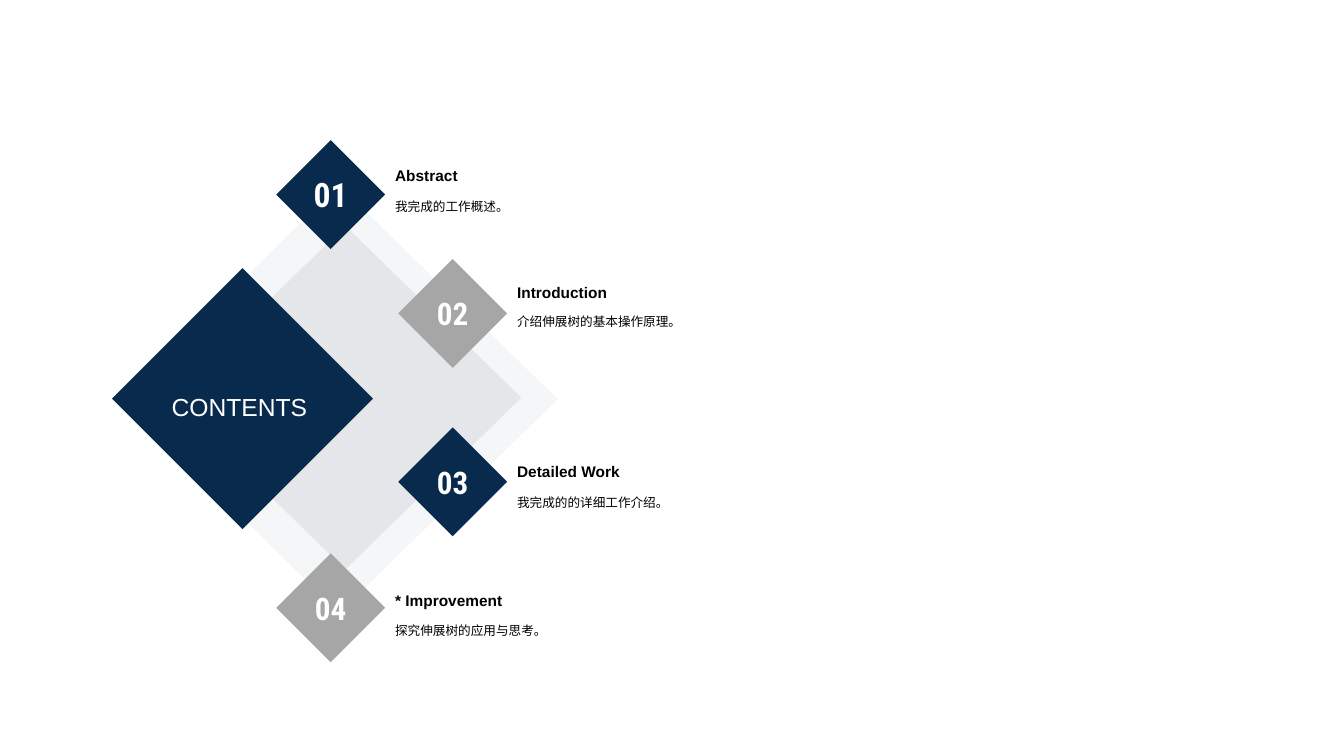
from lxml.etree import SubElement
from pptx import Presentation
from pptx.dml.color import RGBColor
from pptx.enum.shapes import MSO_SHAPE as Shape
from pptx.enum.text import MSO_ANCHOR as Anchor, MSO_AUTO_SIZE as AutoSize, PP_ALIGN as Align
from pptx.oxml.ns import qn
from pptx.util import Pt

PX = 9144  # 100 px to the inch
COLORS = {"navy": "082A4D", "gray": "A6A6A6", "pale": "E4E6EA",
          "white": "FFFFFF", "black": "000000"}


def add_diamond(left, top, width, height, color):
    shape = slide.shapes.add_shape(
        Shape.DIAMOND, left * PX, top * PX, width * PX, height * PX)
    shape.shadow.inherit = False
    shape.fill.solid()
    shape.fill.fore_color.rgb = RGBColor.from_string(COLORS[color])
    shape.line.fill.background()
    return shape


def write_text(shape, text, color, frame_format, paragraph_format, font_format):
    frame = shape.text_frame
    frame.text = text
    paragraph = frame.paragraphs[0]
    font = paragraph.runs[0].font
    for target, values in ((frame, frame_format), (paragraph, paragraph_format),
                           (font, font_format)):
        for name, value in values.items():
            setattr(target, name, value)
    font.color.rgb = RGBColor.from_string(COLORS[color])


presentation = Presentation()
presentation.slide_width = 1333 * PX
presentation.slide_height = 750 * PX
slide = presentation.slides.add_slide(presentation.slide_layouts[5])

# Large diamonds: translucent halo, pale panel, navy title panel
halo = add_diamond(120, 184, 433, 424, "pale")
halo_color = halo.fill._xPr.find(qn("a:solidFill"))[0]
SubElement(halo_color, qn("a:alpha"), val="35000")
add_diamond(168, 224, 349, 341, "pale")
add_diamond(111, 266, 259, 259, "navy")

# Title, brought in front of the navy panel
title = slide.shapes.title
slide.shapes.element.append(title.element)
title.left, title.top, title.width, title.height = (
    value * PX for value in (153, 383, 169, 41))
write_text(title, "CONTENTS", "white",
           {"word_wrap": True, "auto_size": AutoSize.NONE,
            "vertical_anchor": Anchor.MIDDLE},
           {"alignment": Align.CENTER},
           {"name": "Arial", "size": Pt(17.6), "bold": False})

# Numbered sections: left, top, color, number size, heading top, line spacing, texts
DIAMOND = 108
sections = [
    (274, 139, "navy", 24, 156, 1.2, "Abstract", "我完成的工作概述。"),
    (395, 257, "gray", 22.2, 272, 1.0, "Introduction", "介绍伸展树的基本操作原理。"),
    (395, 424, "navy", 22.2, 450, 1.2, "Detailed Work", "我完成的的详细工作介绍。"),
    (274, 549, "gray", 22.2, 578, 1.0, "* Improvement", "探究伸展树的应用与思考。"),
]
for number, section in enumerate(sections, start=1):
    left, top, color, size, heading_top, spacing, heading, summary = section
    marker = add_diamond(left, top, DIAMOND, DIAMOND, color)
    write_text(marker, f"{number:02}", "white",
               {"word_wrap": False, "vertical_anchor": Anchor.MIDDLE,
                "margin_left": 0, "margin_right": 0},
               {"alignment": Align.CENTER},
               {"name": "Roboto Condensed", "size": Pt(size), "bold": True})

    # Heading sits on top of its summary line
    lines = [
        (heading, heading_top, 32, Anchor.BOTTOM, 1.0, 11, True),
        (summary, heading_top + 32, 30, Anchor.MIDDLE, spacing, 9, False),
    ]
    for text, line_top, height, anchor, line_spacing, points, bold in lines:
        box = slide.shapes.add_textbox(
            (left + DIAMOND) * PX, line_top * PX, 371 * PX, height * PX)
        write_text(box, text, "black",
                   {"word_wrap": True, "vertical_anchor": anchor},
                   {"alignment": Align.LEFT, "line_spacing": line_spacing},
                   {"name": "Arial", "size": Pt(points), "bold": bold})

presentation.save("out.pptx")
